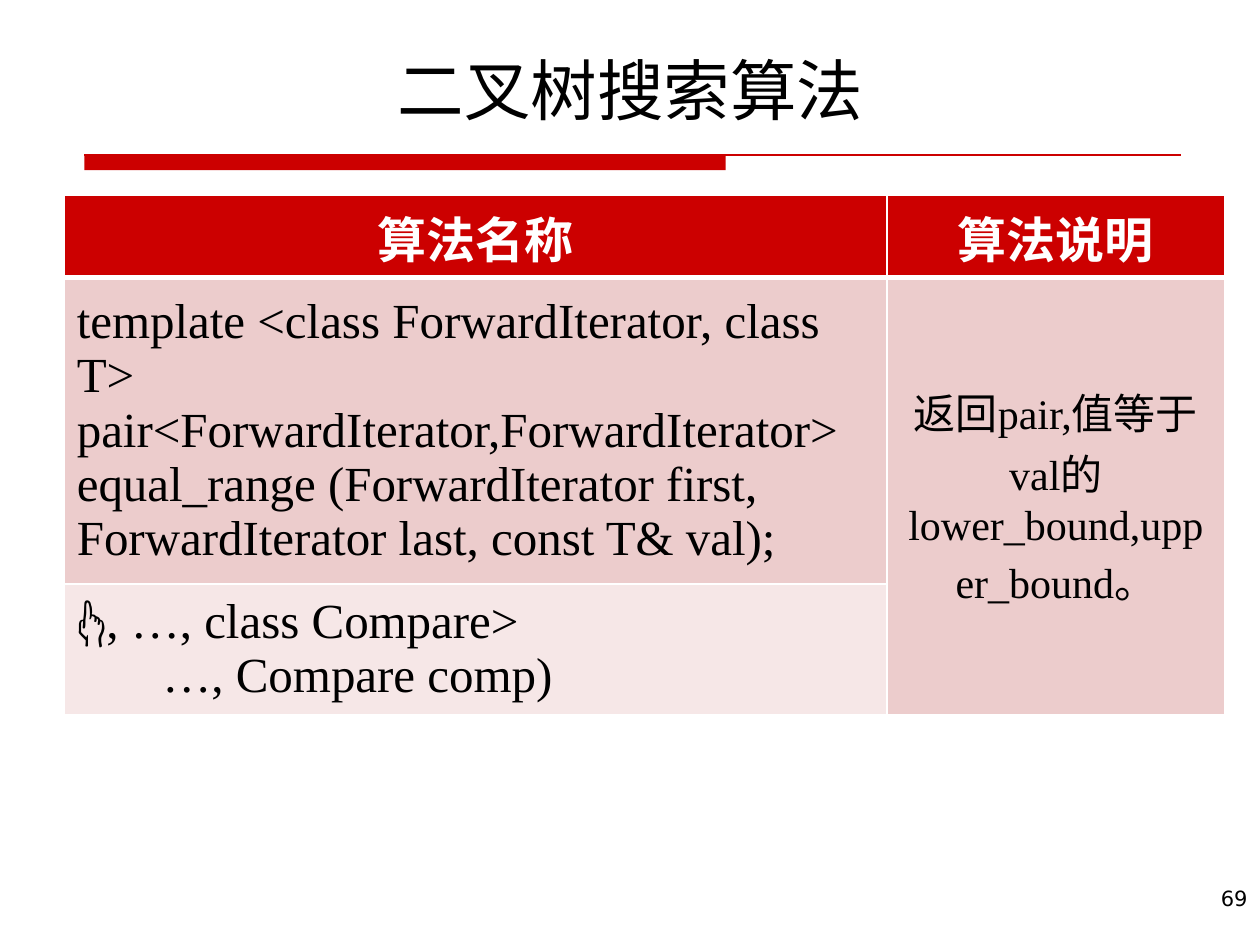
from lxml.etree import SubElement
from pptx import Presentation
from pptx.dml.color import RGBColor
from pptx.enum.shapes import MSO_CONNECTOR, MSO_SHAPE
from pptx.enum.text import MSO_ANCHOR, PP_ALIGN
from pptx.oxml.ns import qn
from pptx.util import Inches, Pt

RED = RGBColor(0xCC, 0x00, 0x00)
PINK = RGBColor(0xEC, 0xCC, 0xCC)
PALE_PINK = RGBColor(0xF6, 0xE7, 0xE7)
WHITE = RGBColor(0xFF, 0xFF, 0xFF)
BLACK = RGBColor(0x00, 0x00, 0x00)
SERIF = "Times New Roman"
SANS = "DejaVu Sans"

COLUMN_WIDTHS = (6.53, 2.68)
ROW_HEIGHTS = (0.65, 2.25, 0.96)


def format_text(text_frame, size, color, alignment, font_name=SERIF, bold=False):
    for paragraph in text_frame.paragraphs:
        paragraph.alignment = alignment
        for run in paragraph.runs:
            run.font.size = Pt(size)
            run.font.name = font_name
            run.font.bold = bold
            run.font.color.rgb = color


def add_title(slide, left, top, width, height):
    title = slide.shapes.title
    title.left, title.top = Inches(left), Inches(top)
    title.width, title.height = Inches(width), Inches(height)
    title.text_frame.text = "二叉树搜索算法"
    title.text_frame.vertical_anchor = MSO_ANCHOR.BOTTOM
    format_text(title.text_frame, 38, BLACK, PP_ALIGN.CENTER)


def add_title_rule(slide, left, top, width, height):
    """Draw a thin rule whose first part is a thick bar."""
    bar = slide.shapes.add_shape(
        MSO_SHAPE.RECTANGLE, Inches(left), Inches(top),
        Inches(width * 0.585), Inches(height))
    bar.shadow.inherit = False
    bar.fill.solid()
    bar.fill.fore_color.rgb = RED
    bar.line.fill.background()
    rule = slide.shapes.add_connector(
        MSO_CONNECTOR.STRAIGHT, Inches(left), Inches(top),
        Inches(left + width), Inches(top))
    rule.line.color.rgb = RED
    rule.line.width = Pt(0.75)
    SubElement(rule._element.spPr, qn("a:effectLst"))


def set_borders(cell, bottom_width=1, top_width=1):
    properties = cell._tc.get_or_add_tcPr()
    widths = {"a:lnL": 1, "a:lnR": 1, "a:lnT": top_width, "a:lnB": bottom_width}
    for tag, width in widths.items():
        line = SubElement(properties, qn(tag), w=str(Pt(width)))
        fill = SubElement(line, qn("a:solidFill"))
        SubElement(fill, qn("a:srgbClr"), val=str(WHITE))


def fill_cell(cell, text, size, color, fill, alignment, bold=False):
    cell.text_frame.text = text
    cell.fill.solid()
    cell.fill.fore_color.rgb = fill
    format_text(cell.text_frame, size, color, alignment, bold=bold)


def add_algorithm_table(slide, left, top):
    table = slide.shapes.add_table(
        len(ROW_HEIGHTS), len(COLUMN_WIDTHS), Inches(left), Inches(top),
        Inches(sum(COLUMN_WIDTHS)), Inches(sum(ROW_HEIGHTS))).table
    for column, width in zip(table.columns, COLUMN_WIDTHS):
        column.width = Inches(width)
    for row, height in zip(table.rows, ROW_HEIGHTS):
        row.height = Inches(height)
    for index, row in enumerate(table.rows):
        for cell in row.cells:
            set_borders(cell, 3 if index == 0 else 1, 3 if index == 1 else 1)
            if index > 0:
                cell.vertical_anchor = MSO_ANCHOR.MIDDLE
    table.cell(1, 1).merge(table.cell(2, 1))

    for column, heading in enumerate(("算法名称", "算法说明")):
        fill_cell(table.cell(0, column), heading, 28, WHITE, RED,
                  PP_ALIGN.CENTER, bold=True)
    fill_cell(table.cell(1, 0),
              "template <class ForwardIterator, class T> "
              "pair<ForwardIterator,ForwardIterator> "
              "equal_range (ForwardIterator first, "
              "ForwardIterator last, const T& val);",
              28, BLACK, PINK, PP_ALIGN.LEFT)
    fill_cell(table.cell(2, 0),
              "👆, …, class Compare>\n       …, Compare comp)",
              28, BLACK, PALE_PINK, PP_ALIGN.LEFT)
    fill_cell(table.cell(1, 1),
              "返回pair,值等于val的lower_bound,upper_bound。",
              24, BLACK, PINK, PP_ALIGN.CENTER)


def add_page_number(slide, left, top, width, height):
    box = slide.shapes.add_textbox(
        Inches(left), Inches(top), Inches(width), Inches(height))
    box.text_frame.word_wrap = True
    box.text_frame.text = "69"
    format_text(box.text_frame, 12, BLACK, PP_ALIGN.RIGHT, SANS)


def main():
    presentation = Presentation()
    presentation.slide_width = Inches(10)
    presentation.slide_height = Inches(7.5)
    slide = presentation.slides.add_slide(presentation.slide_layouts[5])
    add_title_rule(slide, 0.67, 1.23, 8.7, 0.12)
    add_page_number(slide, 7.86, 6.98, 2.14, 0.52)
    add_title(slide, 0.63, 0.33, 8.75, 0.74)
    add_algorithm_table(slide, 0.51, 1.55)
    presentation.save("out.pptx")


if __name__ == "__main__":
    main()
